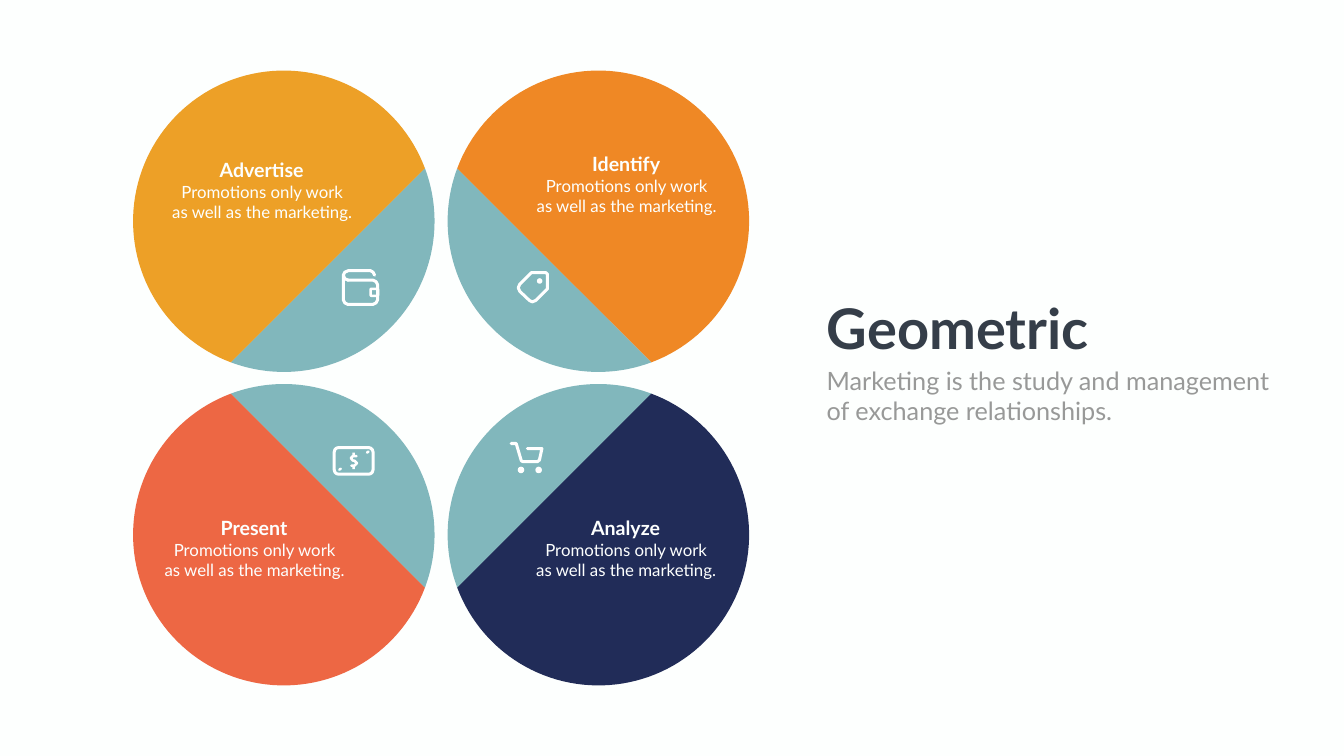
import dataclasses
import math

import pptx
import pptx.dml.color
import pptx.enum.shapes
import pptx.enum.text
import pptx.oxml
import pptx.oxml.ns
import pptx.util

PX = 9144  # EMU in one px: 100 px to the inch
SHAPE = pptx.enum.shapes.MSO_SHAPE
ALIGN = pptx.enum.text.PP_ALIGN
qn = pptx.oxml.ns.qn


@dataclasses.dataclass(frozen=True)
class Theme:
    font: str = "Lato"
    paper: str = "FDFFFE"
    white: str = "FFFFFF"
    heading: str = "353E49"
    muted: str = "989998"
    teal: str = "81B7BC"
    amber: str = "EDA027"
    orange: str = "EF8825"
    coral: str = "ED6744"
    navy: str = "212C58"
    title_size: int = 80
    subtitle_size: int = 36
    label_size: int = 28
    body_size: int = 24


def rgb(color):
    return pptx.dml.color.RGBColor.from_string(color)


def write_text(frame, text, *, font, size, color, bold=False, align=ALIGN.LEFT, wrap=True):
    """Fill a text frame with one paragraph for each line of text."""
    frame.word_wrap = wrap
    frame.auto_size = pptx.enum.text.MSO_AUTO_SIZE.SHAPE_TO_FIT_TEXT
    frame.vertical_anchor = pptx.enum.text.MSO_ANCHOR.TOP
    frame.text = text
    for paragraph in frame.paragraphs:
        paragraph.alignment = align
        for run in paragraph.runs:
            run.font.name = font
            run.font.size = pptx.util.Pt(size)
            run.font.bold = bold
            run.font.color.rgb = rgb(color)


def segment_points(center, radius, middle, half):
    """Points of the circle segment that spans middle ± half degrees."""
    steps = 90
    angles = [math.radians(middle - half + 2 * half * i / steps) for i in range(steps + 1)]
    return [(center[0] + radius * math.cos(a), center[1] + radius * math.sin(a)) for a in angles]


class SlideBuilder:
    def __init__(self, slide, theme):
        self.slide = slide
        self.theme = theme
        slide.background.fill.solid()
        slide.background.fill.fore_color.rgb = rgb(theme.paper)

    def title(self, text, box, **style):
        heading = self.slide.shapes.title
        heading.left, heading.top, heading.width, heading.height = (v * PX for v in box)
        write_text(heading.text_frame, text, font=self.theme.font, **style)

    def text(self, text, box, **style):
        area = self.slide.shapes.add_textbox(*(v * PX for v in box))
        write_text(area.text_frame, text, font=self.theme.font, **style)

    def fill(self, shape, color):
        shape.shadow.inherit = False
        shape.fill.solid()
        shape.fill.fore_color.rgb = rgb(color)
        shape.line.fill.background()

    def pen(self, shape, width):
        """Draw the outline in white with round caps and joins."""
        shape.line.color.rgb = rgb(self.theme.white)
        shape.line.width = width * PX
        line = shape.element.spPr.find(qn("a:ln"))
        line.set("cap", "rnd")
        line.append(pptx.oxml.parse_xml(f'<a:round {pptx.oxml.ns.nsdecls("a")}/>'))

    def outline(self, points, close):
        start, *rest = [(round(x * PX), round(y * PX)) for x, y in points]
        builder = self.slide.shapes.build_freeform(*start, scale=1.0)
        builder.add_line_segments(rest, close=close)
        return builder.convert_to_shape()

    def segment(self, color, *arc):
        self.fill(self.outline(segment_points(*arc), True), color)

    def stroke(self, points, width=6, close=False):
        path = self.outline(points, close)
        path.shadow.inherit = False
        path.fill.background()
        self.pen(path, width)

    def line(self, start, end, width=5):
        ends = (v * PX for v in (*start, *end))
        tick = self.slide.shapes.add_connector(pptx.enum.shapes.MSO_CONNECTOR.STRAIGHT, *ends)
        self.pen(tick, width)
        tick.element.spPr.append(tick.element.spPr.makeelement(qn("a:effectLst"), {}))

    def solid(self, kind, box):
        self.fill(self.slide.shapes.add_shape(kind, *(v * PX for v in box)), self.theme.white)

    def frame(self, box, corner, width):
        border = self.slide.shapes.add_shape(SHAPE.ROUNDED_RECTANGLE, *(v * PX for v in box))
        border.adjustments[0] = corner
        border.shadow.inherit = False
        border.fill.background()
        self.pen(border, width)


def draw_wallet(page):
    page.stroke([(681, 548), (681, 595), (684, 601), (690, 604), (740, 604), (746, 601),
                 (749, 595), (749, 565), (746, 559), (740, 556), (690, 556)])
    page.stroke([(691, 556), (684, 553), (681, 546), (684, 540), (691, 537),
                 (735, 537), (740, 540), (743, 546)])
    page.frame((735, 573, 15, 14), 0.15, 5)


def draw_tag(page):
    page.stroke([(1054, 541), (1083, 541), (1086, 544), (1086, 573), (1063, 596), (1056, 599),
                 (1050, 596), (1031, 578), (1028, 571), (1031, 564)], close=True)
    page.solid(SHAPE.OVAL, (1065, 552, 11, 11))


def draw_banknote(page):
    page.frame((663, 888, 77, 53), 0.17, 6)
    page.stroke([(707, 905), (700, 905), (696, 909), (700, 914), (703, 914),
                 (708, 919), (703, 924), (697, 924)], width=5)
    for top in (898, 925):
        page.solid(SHAPE.RECTANGLE, (699, top, 5, 6))
    page.line((728, 898), (731, 896))
    page.line((673, 932), (676, 930))


def draw_cart(page):
    page.stroke([(1014, 880), (1024, 880), (1034, 914), (1037, 916), (1066, 916),
                 (1070, 913), (1075, 890), (1046, 890)])
    for left in (1027, 1062):
        page.solid(SHAPE.OVAL, (left, 926, 13, 13))


def main():
    theme = Theme()
    deck = pptx.Presentation()
    deck.slide_width, deck.slide_height = 2666 * PX, 1500 * PX
    page = SlideBuilder(deck.slides.add_slide(deck.slide_layouts[5]), theme)

    radius, half_teal = 299, 65.5
    # heading, color, column, row, top left of the body text, icon
    petals = [
        ("Advertise", theme.amber, 0, 0, (307, 356), draw_wallet),
        ("Identify", theme.orange, 1, 0, (1030, 344), draw_tag),
        ("Present", theme.coral, 0, 1, (292, 1065), draw_banknote),
        ("Analyze", theme.navy, 1, 1, (1029, 1065), draw_cart),
    ]
    for heading, color, column, row, (left, top), draw_icon in petals:
        center = (563 + 624 * column, 439 + 622 * row)
        inward = math.degrees(math.atan2(1 - 2 * row, 1 - 2 * column))
        page.segment(color, center, radius, inward + 180, 180 - half_teal)
        page.segment(theme.teal, center, radius, inward, half_teal)
        draw_icon(page)
        page.text(heading, (left + 92, top - 47, 240, 57), size=theme.label_size,
                  color=theme.paper, bold=True, align=ALIGN.CENTER)
        page.text("Promotions only work\nas well as the marketing.", (left, top, 426, 91),
                  size=theme.body_size, color=theme.paper, align=ALIGN.CENTER)

    page.title("Geometric", (1630, 577, 549, 145), size=theme.title_size,
               color=theme.heading, bold=True, wrap=False)
    page.text("Marketing is the study and management\nof exchange relationships.",
              (1630, 719, 974, 131), size=theme.subtitle_size, color=theme.muted)
    deck.save("out.pptx")


if __name__ == "__main__":
    main()
